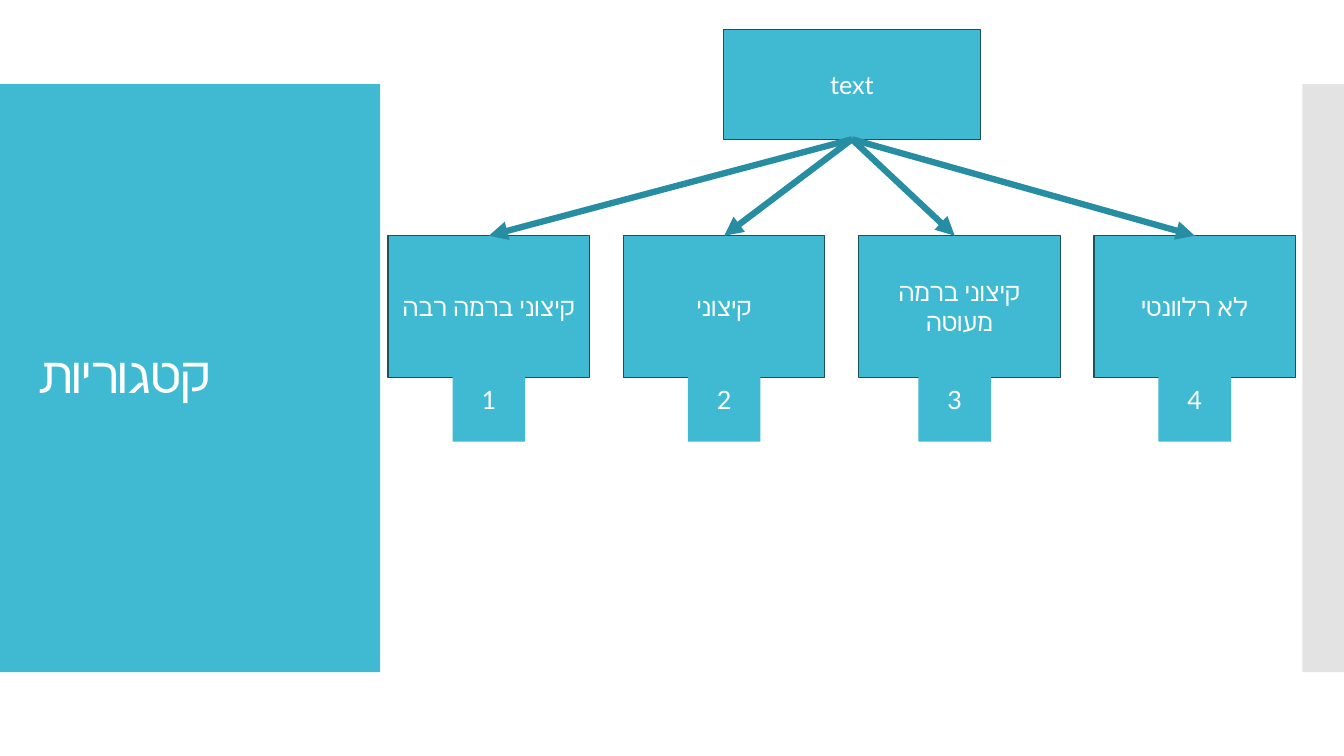
from dataclasses import dataclass

from lxml.etree import SubElement
from pptx import Presentation
from pptx.dml.color import RGBColor
from pptx.enum.shapes import MSO_CONNECTOR, MSO_SHAPE
from pptx.enum.text import MSO_ANCHOR, PP_ALIGN
from pptx.oxml.ns import qn
from pptx.util import Cm, Pt


@dataclass(frozen=True)
class Theme:
    font: str = "Lato"
    teal: str = "40BAD2"
    outline: str = "1C525C"
    arrow: str = "268DA2"
    gray: str = "C8C8C8"
    white: str = "FFFFFF"
    title_size: float = 36
    body_size: float = 18
    outline_width: float = 0.85
    arrow_width: float = 4.5


THEME = Theme()

BAND_TOP, BAND_H = 2.12, 14.82
ROOT_LEFT, ROOT_TOP, ROOT_W, ROOT_H = 18.23, 0.74, 6.48, 2.77
BOX_LEFT, BOX_TOP, BOX_W, BOX_H = 9.78, 5.94, 5.08, 3.58
BOX_PITCH = 5.93
BADGE_TOP, BADGE_W, BADGE_H = 9.02, 1.83, 2.11

# Label and horizontal shift of its number and arrow from the box centre
CATEGORIES = [
    ("קיצוני ברמה רבה", 0),
    ("קיצוני", 0),
    ("קיצוני ברמה מעוטה", -0.12),
    ("לא רלוונטי", 0),
]


def rgb(color):
    return RGBColor.from_string(color)


def write_text(shape, text, size=THEME.body_size, align=PP_ALIGN.CENTER,
               line_spacing=None, tracking=None):
    """Fill a shape with one paragraph; tracking is in hundredths of a point."""
    tf = shape.text_frame
    tf.word_wrap = True
    tf.vertical_anchor = MSO_ANCHOR.MIDDLE
    p = tf.paragraphs[0]
    p.alignment = align
    p.line_spacing = line_spacing
    r = p.add_run()
    r.text = text
    r.font.size = Pt(size)
    r.font.color.rgb = rgb(THEME.white)
    r.font.name = THEME.font
    props = r.font._element
    SubElement(props, qn("a:cs"), typeface=THEME.font)
    if tracking is not None:
        props.set("spc", str(tracking))


def add_box(s, left, top, width, height, fill=THEME.teal, outlined=False, text=None):
    sp = s.shapes.add_shape(MSO_SHAPE.RECTANGLE, Cm(left), Cm(top), Cm(width), Cm(height))
    sp.shadow.inherit = False
    sp.fill.solid()
    sp.fill.fore_color.rgb = rgb(fill)
    if outlined:
        sp.line.color.rgb = rgb(THEME.outline)
        sp.line.width = Pt(THEME.outline_width)
    else:
        sp.line.fill.background()
    if text:
        write_text(sp, text)
    return sp


def set_opacity(shape, percent):
    color = shape.fill._xPr.find(qn("a:solidFill"))[0]
    SubElement(color, qn("a:alpha"), val=str(percent * 1000))


def add_arrow(s, x1, y1, x2, y2):
    line = s.shapes.add_connector(MSO_CONNECTOR.STRAIGHT, Cm(x1), Cm(y1), Cm(x2), Cm(y2))
    line.line.color.rgb = rgb(THEME.arrow)
    line.line.width = Pt(THEME.arrow_width)
    SubElement(line.line._get_or_add_ln(), qn("a:tailEnd"), type="triangle")
    SubElement(line._element.spPr, qn("a:effectLst"))


def add_title(s, text):
    box = s.shapes.add_textbox(Cm(0.71), Cm(3.12), Cm(8.18), Cm(12.78))
    write_text(box, text, size=THEME.title_size, align=PP_ALIGN.LEFT,
               line_spacing=0.9, tracking=-60)


def add_category_tree(s):
    centers = [BOX_LEFT + BOX_W / 2 + i * BOX_PITCH for i in range(len(CATEGORIES))]
    for center, (label, _) in zip(centers, CATEGORIES):
        add_box(s, center - BOX_W / 2, BOX_TOP, BOX_W, BOX_H, outlined=True, text=label)
    add_box(s, ROOT_LEFT, ROOT_TOP, ROOT_W, ROOT_H, outlined=True, text="text")
    for number, (center, (_, shift)) in enumerate(zip(centers, CATEGORIES), start=1):
        add_box(s, center + shift - BADGE_W / 2, BADGE_TOP, BADGE_W, BADGE_H, text=str(number))
        add_arrow(s, ROOT_LEFT + ROOT_W / 2, ROOT_TOP + ROOT_H, center + shift, BOX_TOP)


def main():
    prs = Presentation()
    prs.slide_width, prs.slide_height = Cm(33.87), Cm(19.05)
    s = prs.slides.add_slide(prs.slide_layouts[6])
    add_box(s, 0, BAND_TOP, 9.58, BAND_H)
    side_band = add_box(s, 32.82, BAND_TOP, 1.05, BAND_H, fill=THEME.gray)
    set_opacity(side_band, 50)
    add_title(s, "קטגוריות")
    add_category_tree(s)
    prs.save("out.pptx")


if __name__ == "__main__":
    main()
